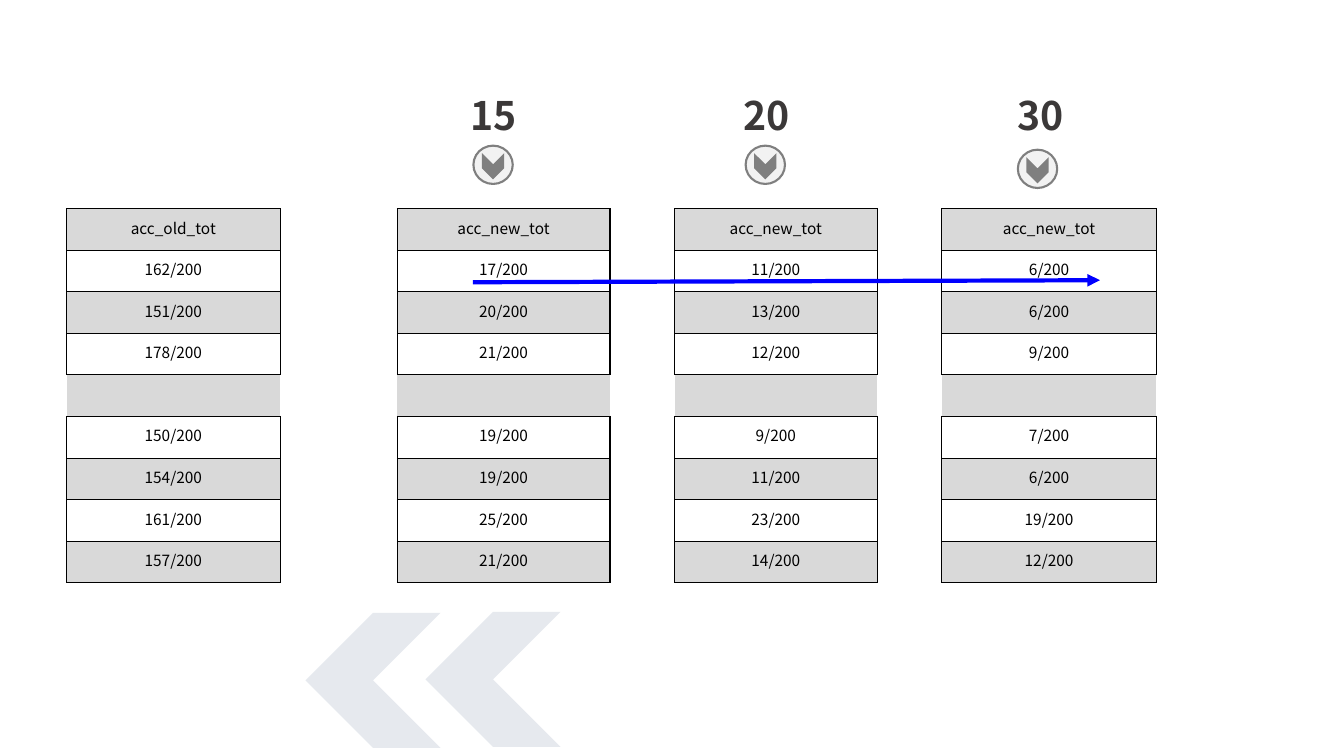
from lxml import etree
from pptx import Presentation
from pptx.dml.color import RGBColor
from pptx.enum.shapes import MSO_CONNECTOR, MSO_SHAPE
from pptx.enum.text import MSO_ANCHOR, MSO_AUTO_SIZE, PP_ALIGN
from pptx.oxml.ns import qn
from pptx.util import Inches, Pt

STRAIGHT = MSO_CONNECTOR.STRAIGHT
CIRCLE = MSO_SHAPE.FLOWCHART_CONNECTOR
CHEVRON = MSO_SHAPE.CHEVRON
CENTER = PP_ALIGN.CENTER
MIDDLE = MSO_ANCHOR.MIDDLE
FIT_SHAPE = MSO_AUTO_SIZE.SHAPE_TO_FIT_TEXT

FONT = "Noto Sans CJK SC"
COLORS = {
    "heading": "3B3838",
    "black": "000000",
    "white": "FFFFFF",
    "band": "D9D9D9",
    "badge": "F2F2F2",
    "gray": "7F7F7F",
    "arrow": "0000FF",
    "back": "ADB9CA",
}

TABLE_TOP, TABLE_HEIGHT = 2.07, 3.71
THIN, THICK = 0.5, 1
GAP_ROW = 4

# left, width, right border, cell texts
COLUMNS = [
    (0.66, 2.12, THIN, ["acc_old_tot", "162/200", "151/200", "178/200", "",
                        "150/200", "154/200", "161/200", "157/200"]),
    (3.94, 2.11, THICK, ["acc_new_tot", "17/200", "20/200", "21/200", "",
                         "19/200", "19/200", "25/200", "21/200"]),
    (6.69, 2.01, THICK, ["acc_new_tot", "11/200", "13/200", "12/200", "",
                         "9/200", "11/200", "23/200", "14/200"]),
    (9.34, 2.13, THICK, ["acc_new_tot", "6/200", "6/200", "9/200", "",
                         "7/200", "6/200", "19/200", "12/200"]),
]

# number, left of its text box, left and top of its badge
STEPS = [("15", 4.57, 4.7, 1.44), ("20", 7.28, 7.4, 1.44), ("30", 9.99, 10.1, 1.48)]


def rgb(name):
    return RGBColor.from_string(COLORS[name])


def write(frame, text, size, color="black", bold=False, align=None):
    paragraph = frame.paragraphs[0]
    paragraph.alignment = align
    paragraph.font.size = Pt(size)
    run = paragraph.add_run()
    run.text = text
    run.font.name = FONT
    run.font.size = Pt(size)
    run.font.bold = bold
    run.font.color.rgb = rgb(color)
    etree.SubElement(run.font._element, qn("a:ea"), typeface=FONT)


def add_number(slide, text, left):
    box = slide.shapes.add_textbox(Inches(left), Inches(0.86), Inches(0.83), Inches(0.57))
    box.text_frame.word_wrap = True
    box.text_frame.auto_size = FIT_SHAPE
    write(box.text_frame, text, 28, color="heading", bold=True)


def add_figure(shapes, kind, left, top, width, height, fill, rotation, line=None, alpha=None):
    figure = shapes.add_shape(kind, Inches(left), Inches(top), Inches(width), Inches(height))
    figure.shadow.inherit = False
    figure.rotation = rotation
    figure.fill.solid()
    figure.fill.fore_color.rgb = rgb(fill)
    if alpha:
        color = figure._element.spPr.find(qn("a:solidFill"))[0]
        etree.SubElement(color, qn("a:alpha"), val=str(alpha * 1000))
    if line:
        figure.line.color.rgb = rgb(line)
        figure.line.width = Pt(1.5)
    else:
        figure.line.fill.background()


def add_badge(slide, left, top):
    """Draw a circle holding a chevron that points down."""
    badge = slide.shapes.add_group_shape()
    add_figure(badge.shapes, CIRCLE, left, top, 0.38, 0.39, "badge", 90, line="gray")
    add_figure(badge.shapes, CHEVRON, left + 0.06, top + 0.1, 0.26, 0.22, "gray", 90)


def set_borders(cell, left, right, top, bottom):
    """Set the border widths in points; a width of 0 hides that border."""
    properties = cell._tc.get_or_add_tcPr()
    widths = {"lnL": left, "lnR": right, "lnT": top, "lnB": bottom}
    for position, (tag, width) in enumerate(widths.items()):
        border = etree.Element(qn(f"a:{tag}"), w=str(Pt(width)))
        if width:
            fill = etree.SubElement(border, qn("a:solidFill"))
            etree.SubElement(fill, qn("a:srgbClr"), val=COLORS["black"])
        else:
            etree.SubElement(border, qn("a:noFill"))
        properties.insert(position, border)


def add_column(slide, left, width, right_border, texts):
    """Draw a one-column table with a gap row that has no side borders."""
    table = slide.shapes.add_table(len(texts), 1, Inches(left), Inches(TABLE_TOP),
                                   Inches(width), Inches(TABLE_HEIGHT)).table
    table.first_row = table.horz_banding = False
    for row, text in enumerate(texts):
        cell = table.cell(row, 0)
        cell.vertical_anchor = MIDDLE
        cell.margin_left = cell.margin_right = cell.margin_top = Inches(0.01)
        cell.margin_bottom = Inches(0.05)
        cell.fill.solid()
        cell.fill.fore_color.rgb = rgb("white" if row % 2 else "band")
        is_gap = row == GAP_ROW
        if is_gap:
            cell.text_frame.paragraphs[0].font.size = Pt(11)
        else:
            write(cell.text_frame, text, 11, align=CENTER)
        set_borders(
            cell,
            left=0 if is_gap else THIN,
            right=0 if is_gap else right_border,
            top=THICK if row in (0, GAP_ROW, GAP_ROW + 1) else THIN,
            bottom=THICK if row in (GAP_ROW - 1, GAP_ROW, len(texts) - 1) else THIN,
        )


def add_arrow(slide, start, end):
    arrow = slide.shapes.add_connector(STRAIGHT, *map(Inches, start + end))
    arrow.line.color.rgb = rgb("arrow")
    arrow.line.width = Pt(3)
    etree.SubElement(arrow.line._get_or_add_ln(), qn("a:tailEnd"), type="triangle")
    etree.SubElement(arrow._element.spPr, qn("a:effectLst"))


def main():
    deck = Presentation()
    deck.slide_width, deck.slide_height = Inches(13.33), Inches(7.5)
    slide = deck.slides.add_slide(deck.slide_layouts[6])

    for column in COLUMNS:
        add_column(slide, *column)
    for number, number_left, badge_left, badge_top in STEPS:
        add_number(slide, number, number_left)
        add_badge(slide, badge_left, badge_top)
    add_arrow(slide, (4.69, 2.8), (10.91, 2.78))
    for left, top in ((3.03, 6.08), (4.22, 6.07)):
        add_figure(slide.shapes, CHEVRON, left, top, 1.34, 1.34, "back", 180, alpha=30)

    deck.save("out.pptx")


if __name__ == "__main__":
    main()
